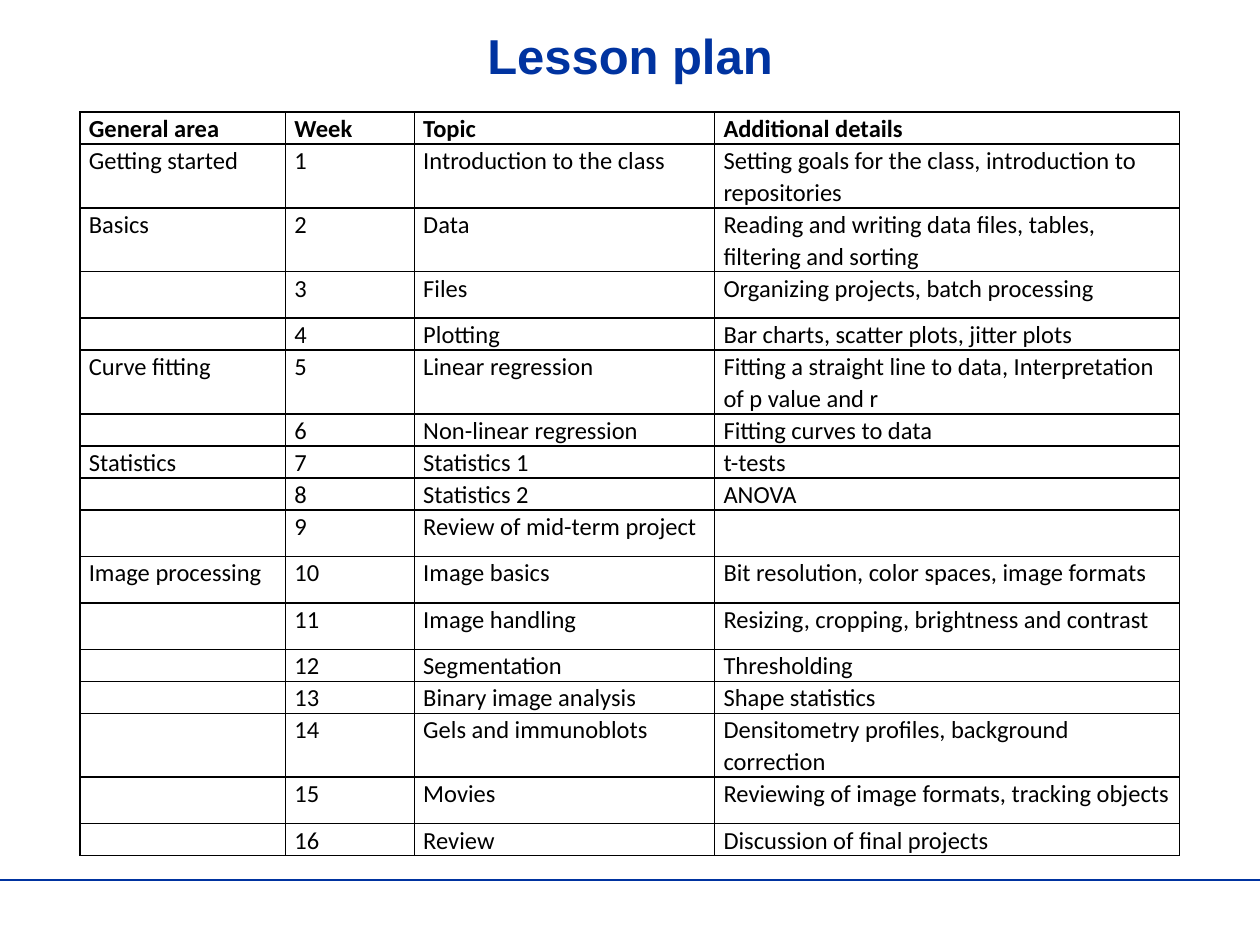
from dataclasses import dataclass

from lxml.etree import SubElement
from pptx import Presentation
from pptx.dml.color import RGBColor
from pptx.enum.shapes import MSO_CONNECTOR as Connector
from pptx.enum.text import MSO_ANCHOR as Anchor, PP_ALIGN as Align
from pptx.oxml.ns import qn
from pptx.util import Pt


@dataclass(frozen=True)
class Theme:
    blue: RGBColor = RGBColor(0x00, 0x33, 0xA0)
    black: RGBColor = RGBColor(0x00, 0x00, 0x00)
    title_font: str = "Arial"
    table_font: str = "Calibri"
    title_size: int = 28
    table_size: int = 14
    rule_width: float = 1.25
    border_width: float = 1


THEME = Theme()
COLUMN_WIDTHS = (117.5, 73.6, 171.6, 265.8)
SHORT_ROW, TALL_ROW = 13, 26.6
TALL_WEEKS = {1, 2, 3, 5, 9, 10, 11, 14, 15}
TOPIC_COLUMN = 2
HEADINGS = ("General area", "Week", "Topic", "Additional details")
LESSONS = (
    ("Getting started", "Introduction to the class",
     "Setting goals for the class, introduction to repositories"),
    ("Basics", "Data", "Reading and writing data files, tables, filtering and sorting"),
    ("", "Files", "Organizing projects, batch processing"),
    ("", "Plotting", "Bar charts, scatter plots, jitter plots"),
    ("Curve fitting", "Linear regression",
     "Fitting a straight line to data, Interpretation of p value and r"),
    ("", "Non-linear regression", "Fitting curves to data"),
    ("Statistics", "Statistics 1", "t-tests"),
    ("", "Statistics 2", "ANOVA"),
    ("", "Review of mid-term project", ""),
    ("Image processing", "Image basics", "Bit resolution, color spaces, image formats"),
    ("", "Image handling", "Resizing, cropping, brightness and contrast"),
    ("", "Segmentation", "Thresholding"),
    ("", "Binary image analysis", "Shape statistics"),
    ("", "Gels and immunoblots", "Densitometry profiles, background correction"),
    ("", "Movies", "Reviewing of image formats, tracking objects"),
    ("", "Review", "Discussion of final projects"),
)


def set_format(target, values):
    for name, value in values.items():
        setattr(target, name, value)


def add_span(para, text, color, values):
    span = para.add_run()
    span.text = text
    set_format(span.font, values)
    span.font.color.rgb = color


def place_title(page, box, text):
    title = page.shapes.title
    set_format(title, dict(zip(("left", "top", "width", "height"), map(Pt, box))))
    set_format(title.text_frame, {"vertical_anchor": Anchor.MIDDLE, "word_wrap": True})
    para = title.text_frame.paragraphs[0]
    para.alignment = Align.CENTER
    add_span(para, text, THEME.blue,
             {"name": THEME.title_font, "size": Pt(THEME.title_size), "bold": True})


def add_footer_rule(page, box):
    left, top, width, height = box
    rule = page.shapes.add_connector(
        Connector.STRAIGHT, Pt(left), Pt(top), Pt(left + width), Pt(top + height))
    rule.line.color.rgb = THEME.blue
    rule.line.width = Pt(THEME.rule_width)
    SubElement(rule._element.spPr, qn("a:effectLst"))


def add_borders(cell):
    properties = cell._tc.get_or_add_tcPr()
    for side in ("a:lnL", "a:lnR", "a:lnT", "a:lnB"):
        border = SubElement(properties, qn(side), w=str(Pt(THEME.border_width)))
        fill = SubElement(border, qn("a:solidFill"))
        SubElement(fill, qn("a:srgbClr"), val=str(THEME.black))


def fill_cell(cell, text, bold, space_after):
    add_borders(cell)
    cell.fill.background()
    set_format(cell, {"margin_left": Pt(5.1), "margin_right": Pt(5.1),
                      "margin_top": Pt(0), "margin_bottom": Pt(0),
                      "vertical_anchor": Anchor.TOP})
    para = cell.text_frame.paragraphs[0]
    set_format(para, {"line_spacing": 1.07, "space_after": Pt(space_after)})
    if text:
        add_span(para, text, THEME.black,
                 {"name": THEME.table_font, "size": Pt(THEME.table_size), "bold": bold})
    else:
        SubElement(para._p, qn("a:endParaRPr"), sz=str(THEME.table_size * 100))


def add_lesson_table(page, box):
    rows = [HEADINGS] + [
        (area, str(week), topic, details)
        for week, (area, topic, details) in enumerate(LESSONS, 1)]
    frame = page.shapes.add_table(len(rows), len(HEADINGS), *map(Pt, box))
    table = frame.table
    set_format(table, {"first_row": False, "horz_banding": False})
    for column, width in zip(table.columns, COLUMN_WIDTHS):
        column.width = Pt(width)
    for week, texts in enumerate(rows):
        table.rows[week].height = Pt(TALL_ROW if week in TALL_WEEKS else SHORT_ROW)
        for column, text in enumerate(texts):
            fill_cell(table.cell(week, column), text, week == 0,
                      0 if column == TOPIC_COLUMN else 6)


def build_lesson_plan(deck):
    page = deck.slides.add_slide(deck.slide_layouts[5])
    add_footer_rule(page, (0, 503, 720, 0))
    place_title(page, (6, 12.5, 708, 38), "Lesson plan")
    add_lesson_table(page, (45.7, 64, sum(COLUMN_WIDTHS), 410))


def main():
    deck = Presentation()
    set_format(deck, {"slide_width": Pt(720), "slide_height": Pt(540)})
    build_lesson_plan(deck)
    deck.save("out.pptx")


if __name__ == "__main__":
    main()
